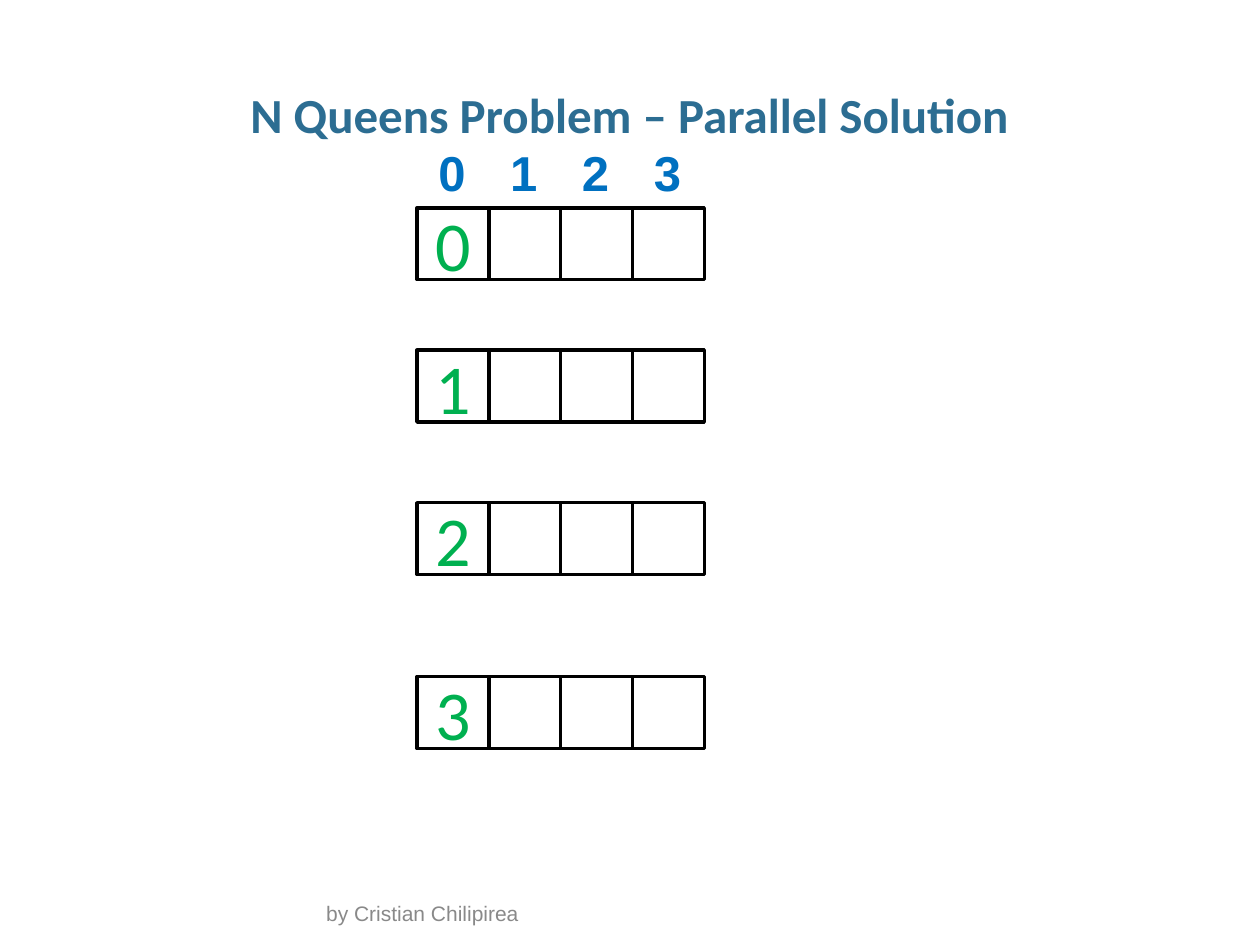
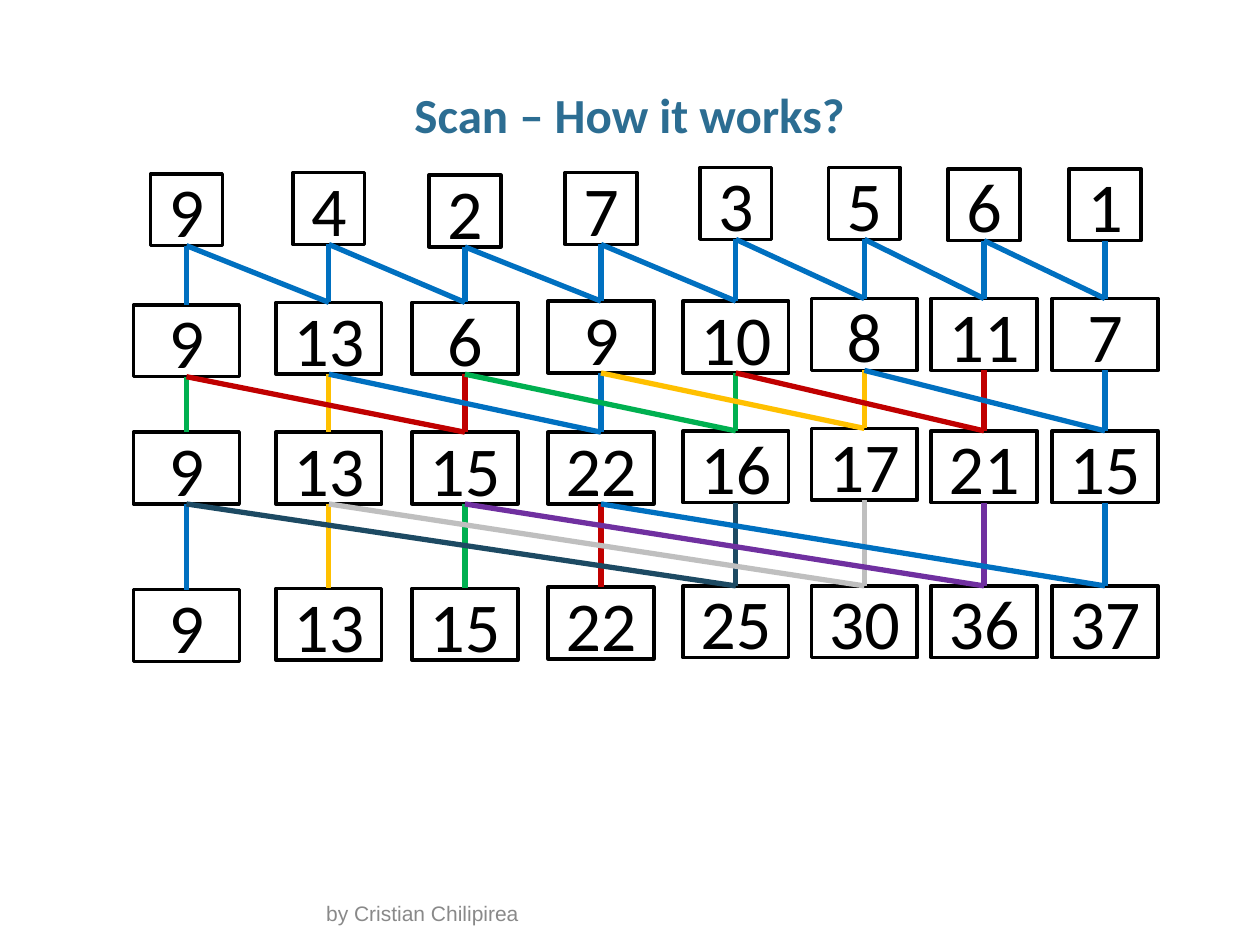
from itertools import product

from lxml import etree
from pptx import Presentation
from pptx import util as u
from pptx.dml.color import RGBColor
from pptx.enum import shapes, text
from pptx.oxml.ns import qn

W, H = 10, 7.5
CELL = 0.57
WIDE = 0.84
BLACK, WHITE, TITLE, MUTED = "000000", "FFFFFF", "2C6D92", "898989"
BLUE, GREEN, YELLOW, RED = "0070C0", "00B050", "FFC000", "C00000"
NAVY, SILVER, PURPLE = "1D4A63", "BFBFBF", "7030A0"

SCAN_INPUT = [9, 4, 2, 7, 3, 5, 6, 1]
SCAN_CENTERS = [0.42, 1.55, 2.63, 3.71, 4.78, 5.8, 6.75, 7.71]
SCAN_TOPS = [
    [0.05, 0.04, 0.06, 0.04, 0, 0, 0.01, 0.01],
    [1.09, 1.07, 1.07, 1.06, 1.06, 1.04, 1.04, 1.04],
    [2.1, 2.1, 2.1, 2.1, 2.09, 2.07, 2.09, 2.09],
    [3.35, 3.34, 3.34, 3.33, 3.32, 3.32, 3.32, 3.32],
]
SCAN_COLORS = [
    [BLUE] * 8,
    [GREEN, YELLOW, RED, BLUE] * 2,
    [BLUE, YELLOW, GREEN, RED, NAVY, SILVER, PURPLE, BLUE],
]


def rgb(color):
    """Turn a hex string into a colour."""
    return RGBColor.from_string(color)


def inches(*lengths):
    """Convert several lengths to slide units."""
    return [u.Inches(n) for n in lengths]


def write(sp, content, size, color, font="Calibri", bold=False, align="LEFT",
          anchor="TOP", wrap=True, spacing=None):
    """Put one formatted paragraph into a shape."""
    tf = sp.text_frame
    tf.word_wrap = wrap
    tf.vertical_anchor = getattr(text.MSO_ANCHOR, anchor)
    p = tf.paragraphs[0]
    p.alignment = getattr(text.PP_ALIGN, align)
    p.line_spacing = spacing
    r = p.add_run()
    r.text = str(content)
    r.font.name, r.font.size, r.font.bold = font, u.Pt(size), bold
    r.font.color.rgb = rgb(color)
    return tf


def add_text(s, box, content, **fmt):
    """Add a text box and return its text frame."""
    return write(s.shapes.add_textbox(*inches(*box)), content, **fmt)


def add_cell(s, box, content="", color=BLACK, fill=None):
    """Add an outlined rectangle with an optional large value."""
    sp = s.shapes.add_shape(shapes.MSO_SHAPE.RECTANGLE, *inches(*box))
    sp.shadow.inherit = False
    if fill:
        sp.fill.solid()
        sp.fill.fore_color.rgb = rgb(fill)
    else:
        sp.fill.background()
    sp.line.color.rgb = rgb(BLACK)
    sp.line.width = u.Pt(2)
    if content != "":
        write(sp, content, 40, color, align="CENTER", anchor="MIDDLE")
    return sp


def link(s, upper, lower, color):
    """Join the bottom of one cell to the top of another."""
    c = s.shapes.add_connector(shapes.MSO_CONNECTOR.STRAIGHT, 0, 0, 0, 0)
    c.begin_connect(upper, 2)
    c.end_connect(lower, 0)
    c.line.color.rgb = rgb(color)
    c.line.width = u.Pt(3)
    etree.SubElement(c._element.spPr, qn("a:effectLst"))


def add_slide(prs, title):
    """Add a blank slide with the shared title and footer."""
    s = prs.slides.add_slide(prs.slide_layouts[6])
    s.background.fill.solid()
    s.background.fill.fore_color.rgb = rgb(WHITE)
    tf = add_text(s, (0.34, 0.68, 9.31, 0.5), title, size=28, color=TITLE,
                  bold=True, align="CENTER", anchor="MIDDLE", spacing=0.95)
    tf.margin_left = tf.margin_right = 0
    add_text(s, (2.49, 7.16, W / 2 + 0.02, 0.24), "by Cristian Chilipirea",
             size=12, color=MUTED, font="Arial", anchor="BOTTOM")
    return s


def add_boards(s, left, top, row_tops, columns=4):
    """Draw column numbers above one board row per parallel task."""
    for col in range(columns):
        box = left + col * CELL + 0.07, top, 0.42, CELL
        tf = add_text(s, box, col, size=28, color=BLUE, font="Arial",
                      bold=True, wrap=False)
        tf.auto_size = text.MSO_AUTO_SIZE.SHAPE_TO_FIT_TEXT
    for (task, dy), col in product(enumerate(row_tops), range(columns)):
        add_cell(s, (left + col * CELL, top + dy, CELL, CELL),
                 task if col == 0 else "", GREEN, WHITE if col == 1 else None)


def add_scan(s, left, top):
    """Draw the prefix sum, doubling the reach of the links at each level."""
    values, above = SCAN_INPUT, []
    for level, tops in enumerate(SCAN_TOPS):
        reach = 2 ** (level - 1) if level else 0
        if level:
            values = [v + (values[i - reach] if i >= reach else 0)
                      for i, v in enumerate(values)]
        width = WIDE if level else CELL
        cells = [add_cell(s, (left + x - width / 2, top + y, width, CELL), v)
                 for x, y, v in zip(SCAN_CENTERS, tops, values)]
        if level:
            for i, color in enumerate(SCAN_COLORS[level - 1]):
                if i >= reach:
                    link(s, above[i - reach], cells[i], color)
                link(s, above[i], cells[i], color)
        above = cells


def main():
    """Build both slides and save them."""
    prs = Presentation()
    prs.slide_width, prs.slide_height = inches(W, H)
    s = add_slide(prs, "N Queens Problem – Parallel Solution")
    add_boards(s, 3.31, 1.08, [0.57, 1.7, 2.91, 4.29])
    s = add_slide(prs, "Scan – How it works?")
    add_scan(s, 1.06, 1.33)
    prs.save("out.pptx")


if __name__ == "__main__":
    main()
